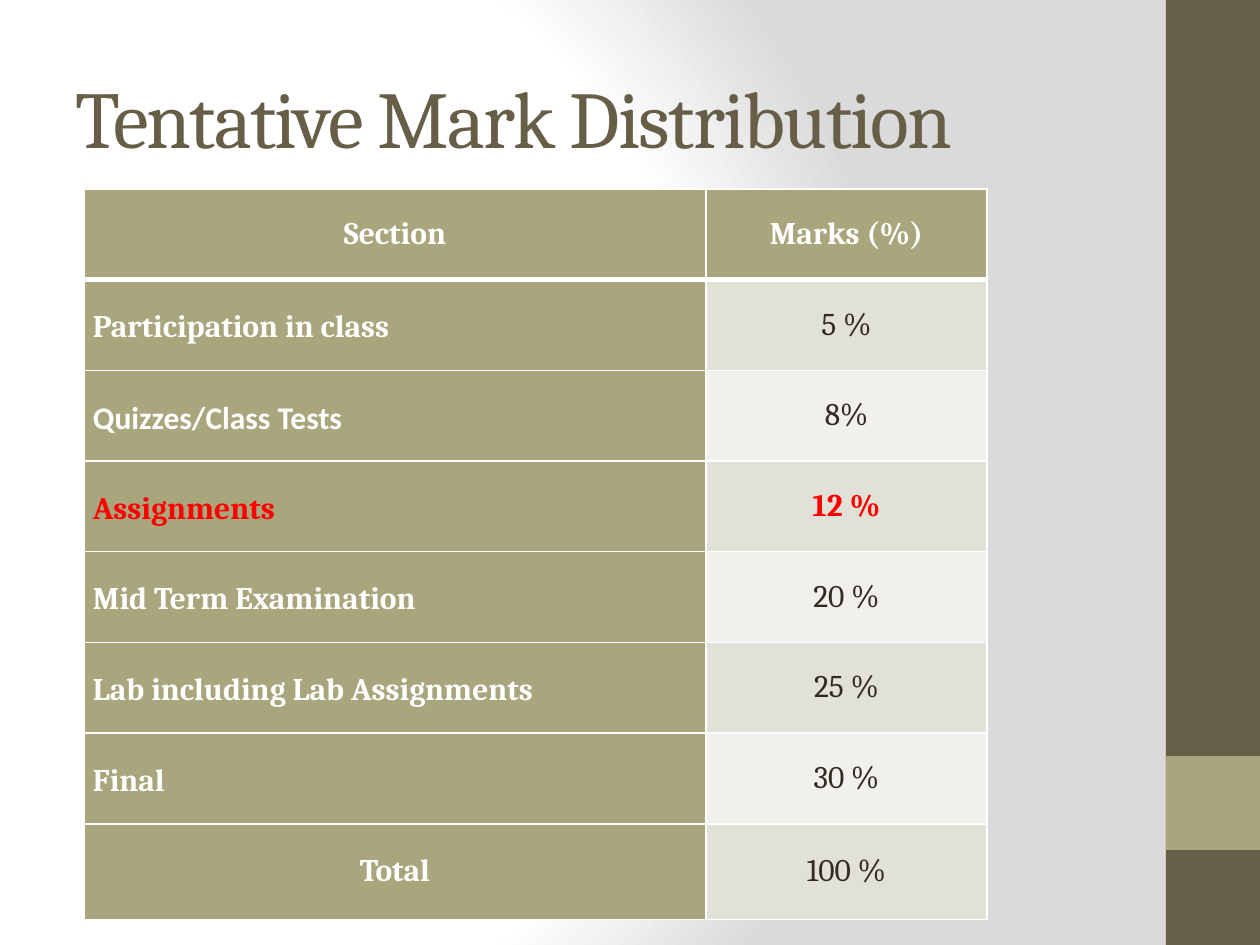
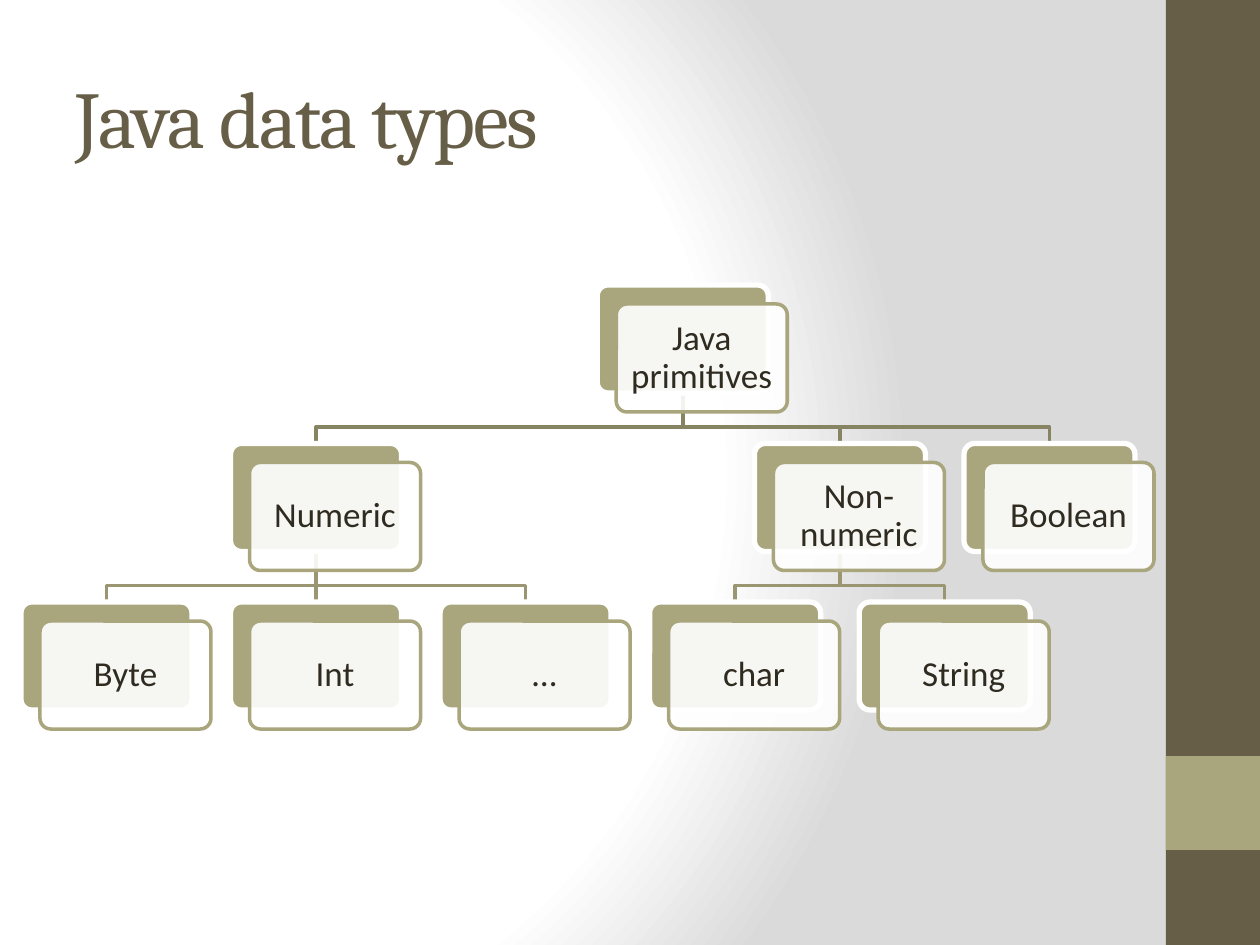
import lxml.etree
import pptx
import pptx.dml.color
import pptx.enum.shapes
import pptx.enum.text
import pptx.oxml
import pptx.oxml.ns
import pptx.util

EMU_PER_PX = 914400 / 126
SLIDE_WIDTH, SLIDE_HEIGHT = 1260, 945
BROWN, OLIVE, WHITE, INK, RED = "675E47", "A9A57C", "FFFFFF", "2F2B20", "FF0000"
ROW_BANDS = ["F1F0EC", "E2E1D7"]
LINK_COLOURS = ["878463", "999671"]
HEADING_FONT, BODY_FONT = "Cambria", "Calibri"
LEFT, CENTER = pptx.enum.text.PP_ALIGN.LEFT, pptx.enum.text.PP_ALIGN.CENTER
MIDDLE = pptx.enum.text.MSO_ANCHOR.MIDDLE
RECTANGLE = pptx.enum.shapes.MSO_SHAPE.RECTANGLE
ROUNDED = pptx.enum.shapes.MSO_SHAPE.ROUNDED_RECTANGLE

BACKGROUND = f"""<a:gradFill {pptx.oxml.ns.nsdecls("a")} rotWithShape="1"><a:gsLst>
<a:gs pos="0"><a:srgbClr val="FFFFFF"/></a:gs>
<a:gs pos="75000"><a:srgbClr val="FFFFFF"/></a:gs>
<a:gs pos="100000"><a:srgbClr val="DADADA"/></a:gs></a:gsLst>
<a:path path="circle"><a:fillToRect l="20000" t="50000" r="100000" b="50000"/></a:path>
</a:gradFill>"""

MARKS = [
    ("Section", "Marks (%)"),
    ("Participation in class", "5 %"),
    ("Quizzes/Class Tests", "8%"),
    ("Assignments", "12 %"),
    ("Mid Term Examination", "20 %"),
    ("Lab including Lab Assignments", "25 %"),
    ("Final", "30 %"),
    ("Total", "100 %"),
]

LAST_SLOT, LAST_LEVEL = 4.5, 2
DATA_TYPES = ("Java primitives", 2.75, [
    ("Numeric", 1, [("Byte", 0, []), ("Int", 1, []), ("…", 2, [])]),
    ("Non-numeric", 3.5, [("char", 3, []), ("String", 4, [])]),
    ("Boolean", 4.5, []),
])
CARD_WIDTH, CARD_HEIGHT, CARD_OFFSET, ELBOW_DROP = 171, 108, 19, 34
CARD_MARGIN = 6


def px(length):
    return pptx.util.Emu(round(length * EMU_PER_PX))


def rgb(colour):
    return pptx.dml.color.RGBColor.from_string(colour)


def set_font(paragraph, name, size, colour, bold=False):
    font = paragraph.font
    font.name, font.size, font.bold = name, pptx.util.Pt(size), bold
    font.color.rgb = rgb(colour)


def set_line(shape, colour, width):
    shape.line.color.rgb = rgb(colour)
    shape.line.width = pptx.util.Pt(width)


def add_box(slide, kind, box, fill):
    shape = slide.shapes.add_shape(kind, *map(px, box))
    shape.shadow.inherit = False
    shape.fill.solid()
    shape.fill.fore_color.rgb = rgb(fill)
    shape.line.fill.background()
    return shape


def set_background(master):
    master.background.fill.solid()
    solid = master.element.find(".//" + pptx.oxml.ns.qn("p:bgPr"))[0]
    solid.getparent().replace(solid, pptx.oxml.parse_xml(BACKGROUND))


def add_side_band(slide, box):
    left, top, width, height = box
    add_box(slide, RECTANGLE, box, BROWN)
    add_box(slide, RECTANGLE, (left, top + height * 0.8, width, width), OLIVE)


def add_title_slide(presentation, text):
    slide = presentation.slides.add_slide(presentation.slide_layouts[5])
    add_side_band(slide, (1166, 0, 94, SLIDE_HEIGHT))
    title = slide.shapes.title
    title.left, title.top, title.width, title.height = map(px, (63, 38, 1050, 157))
    title.text_frame.text = text
    title.text_frame.vertical_anchor = MIDDLE
    paragraph = title.text_frame.paragraphs[0]
    paragraph.alignment = LEFT
    set_font(paragraph, HEADING_FONT, 46, BROWN)
    paragraph.runs[0].font._element.set("spc", "-100")
    return slide


def set_cell_borders(cell, top, bottom):
    properties = cell._tc.get_or_add_tcPr()
    for side, width in (("L", 1), ("R", 1), ("T", top), ("B", bottom)):
        line = lxml.etree.SubElement(properties, pptx.oxml.ns.qn(f"a:ln{side}"),
                                     w=str(pptx.util.Pt(width)))
        fill = lxml.etree.SubElement(line, pptx.oxml.ns.qn("a:solidFill"))
        lxml.etree.SubElement(fill, pptx.oxml.ns.qn("a:srgbClr"), val=WHITE)


def fill_mark_cell(cell, row, column, text):
    header, total = row == 0, row == len(MARKS) - 1
    label, highlighted = column == 0, MARKS[row][0] == "Assignments"
    strong = header or label
    set_cell_borders(cell, 3 if row == 1 else 1, 3 if header else 1)
    cell.fill.solid()
    cell.fill.fore_color.rgb = rgb(OLIVE if strong else ROW_BANDS[row % 2])
    cell.margin_left = cell.margin_right = px(9)
    cell.margin_top = cell.margin_bottom = 0
    cell.vertical_anchor = MIDDLE
    cell.text = text
    paragraph = cell.text_frame.paragraphs[0]
    paragraph.alignment = CENTER
    if label and not header and not total:
        paragraph.alignment = LEFT
        paragraph.line_spacing = 1.15
    colour = RED if highlighted else WHITE if strong else INK
    font = BODY_FONT if text.startswith("Quizzes") else HEADING_FONT
    set_font(paragraph, font, 18, colour, strong or highlighted)


def add_marks_table(slide, box):
    left, top, width, height = box
    total_height, marks_width = 96, 281
    table = slide.shapes.add_table(len(MARKS), 2, *map(px, box)).table
    table.first_row = table.horz_banding = False
    table.columns[0].width = px(width - marks_width)
    table.columns[1].width = px(marks_width)
    for row, texts in enumerate(MARKS):
        table.rows[row].height = px((height - total_height) / (len(MARKS) - 1))
        for column, text in enumerate(texts):
            fill_mark_cell(table.cell(row, column), row, column, text)
    table.rows[len(MARKS) - 1].height = px(total_height)


def add_card(slide, left, top, text):
    back = add_box(slide, ROUNDED, (left, top, CARD_WIDTH, CARD_HEIGHT), OLIVE)
    set_line(back, WHITE, 3)
    front = add_box(slide, ROUNDED, (left + CARD_OFFSET, top + CARD_OFFSET,
                                     CARD_WIDTH, CARD_HEIGHT), WHITE)
    set_line(front, OLIVE, 2)
    colour = front.element.spPr.find(pptx.oxml.ns.qn("a:solidFill"))[0]
    lxml.etree.SubElement(colour, pptx.oxml.ns.qn("a:alpha"), val="90000")
    back.adjustments[0] = front.adjustments[0] = 0.1
    frame = front.text_frame
    frame.word_wrap = True
    frame.vertical_anchor = MIDDLE
    frame.margin_left = frame.margin_right = px(CARD_MARGIN)
    frame.margin_top = frame.margin_bottom = px(CARD_MARGIN)
    frame.text = text
    paragraph = frame.paragraphs[0]
    paragraph.alignment = CENTER
    paragraph.line_spacing = 0.9
    set_font(paragraph, BODY_FONT, 20, INK)
    return back


def add_link(slide, parent, child, colour):
    start_x, start_y = parent.left + parent.width // 2, parent.top + parent.height
    end_x, end_y = child.left + child.width // 2, child.top
    if start_x == end_x:
        link = slide.shapes.add_connector(pptx.enum.shapes.MSO_CONNECTOR.STRAIGHT,
                                          start_x, start_y, end_x, end_y)
        link.begin_connect(parent, 2)
        link.end_connect(child, 0)
        lxml.etree.SubElement(link.element.spPr, pptx.oxml.ns.qn("a:effectLst"))
        set_line(link, colour, 2)
        return link
    elbow_y = start_y + px(ELBOW_DROP)
    builder = slide.shapes.build_freeform(start_x, start_y)
    builder.add_line_segments([(start_x, elbow_y), (end_x, elbow_y), (end_x, end_y)],
                              close=False)
    link = builder.convert_to_shape()
    link.shadow.inherit = False
    link.fill.background()
    set_line(link, colour, 2)
    return link


def add_type_tree(slide, box):
    left, top, width, height = box
    slot_pitch = (width - CARD_WIDTH - CARD_OFFSET) / LAST_SLOT
    level_pitch = (height - CARD_HEIGHT - CARD_OFFSET) / LAST_LEVEL
    links = []

    def add_branch(node, level):
        text, slot, children = node
        card = add_card(slide, left + slot * slot_pitch, top + level * level_pitch, text)
        for child in children:
            links.append((card, add_branch(child, level + 1), LINK_COLOURS[level]))
        return card

    root = add_branch(DATA_TYPES, 0)
    for parent, child, colour in links:
        root.element.addprevious(add_link(slide, parent, child, colour).element)


def main():
    presentation = pptx.Presentation()
    presentation.slide_width, presentation.slide_height = px(SLIDE_WIDTH), px(SLIDE_HEIGHT)
    set_background(presentation.slide_master)
    marks_slide = add_title_slide(presentation, "Tentative Mark Distribution")
    add_marks_table(marks_slide, (84, 189, 903, 731))
    types_slide = add_title_slide(presentation, "Java data types")
    add_type_tree(types_slide, (21, 285, 1133, 444))
    presentation.save("out.pptx")


if __name__ == "__main__":
    main()
